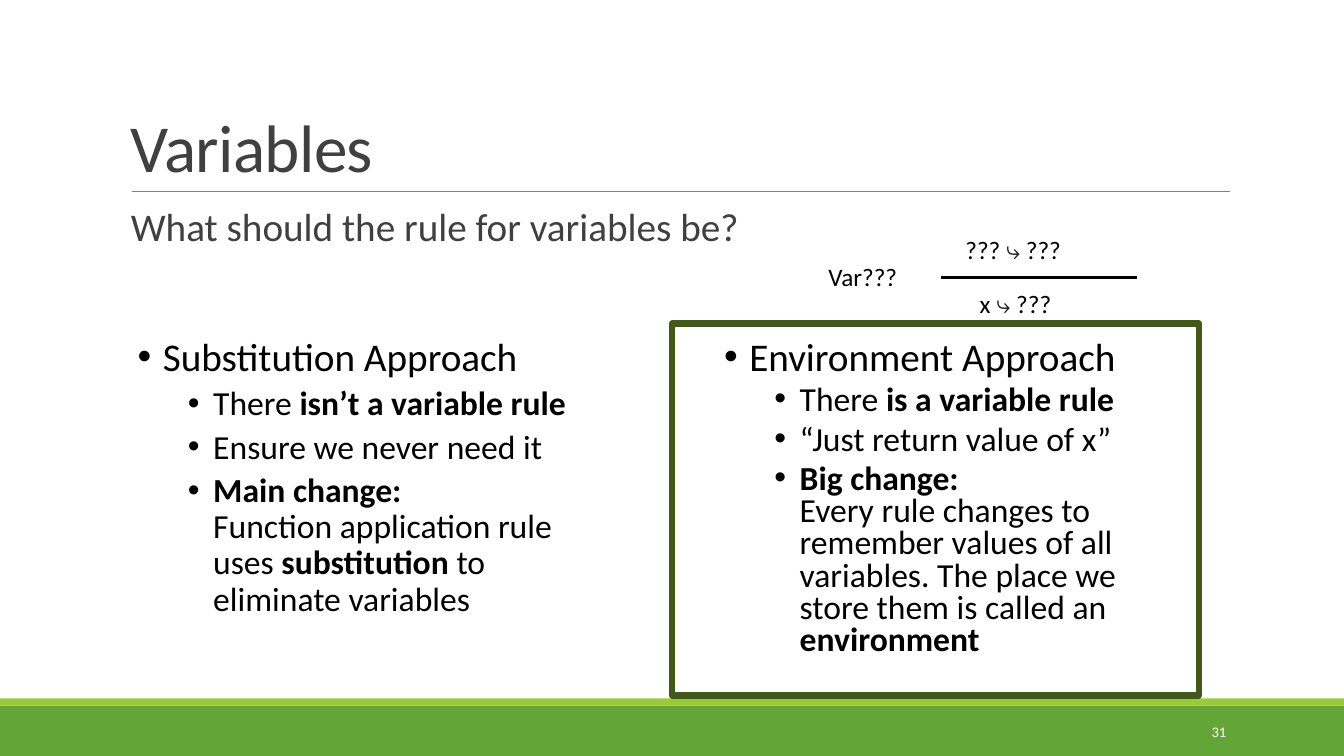
from dataclasses import dataclass
from lxml import etree
from pptx import Presentation
from pptx import util as u
from pptx.dml.color import RGBColor
from pptx.enum import shapes, text
from pptx.oxml.ns import qn


@dataclass(frozen=True)
class Theme:
    font: str = "Calibri"
    sign: str = "Roboto"
    ink: str = "000000"
    head: str = "404040"
    soft: str = "222222"
    rule: str = "808080"
    pale: str = "FFFFFF"
    green: str = "63A537"
    lime: str = "99CB38"
    frame: str = "435919"
    title: float = 48
    lead: float = 28
    point: float = 24
    small: float = 18
    page: float = 10.5


T = Theme()
WIDE, HIGH = u.Inches(13.33), u.Inches(7.5)
ARROW = "⤷"


def part(box, x, y, w, h):
    left, top, wide, high = box
    return (round(left + wide * x / 100), round(top + high * y / 100),
            round(wide * w / 100), round(high * h / 100))


def style(run, size, color, bold=False, font=T.font):
    run.font.size = u.Pt(size)
    run.font.name = font
    run.font.bold = bold
    run.font.color.rgb = RGBColor.from_string(color)


def add_text(slide, box, words="", size=T.small, color=T.ink,
             anchor=text.MSO_ANCHOR.TOP):
    frame = slide.shapes.add_textbox(*box).text_frame
    frame.word_wrap = True
    frame.vertical_anchor = anchor
    para = frame.paragraphs[0]
    para.text = words
    for run in para.runs:
        style(run, size, color)
    return frame


def add_rect(slide, box, fill=None, line=None, width=0):
    rect = slide.shapes.add_shape(shapes.MSO_SHAPE.RECTANGLE, *box)
    rect.shadow.inherit = False
    if fill:
        rect.fill.solid()
        rect.fill.fore_color.rgb = RGBColor.from_string(fill)
    else:
        rect.fill.background()
    if line:
        rect.line.color.rgb = RGBColor.from_string(line)
        rect.line.width = u.Pt(width)
    else:
        rect.line.fill.background()


def add_line(slide, box, color, width):
    x, y, w, h = box
    line = slide.shapes.add_connector(
        shapes.MSO_CONNECTOR.STRAIGHT, x, y, x + w, y + h)
    line.line.color.rgb = RGBColor.from_string(color)
    line.line.width = u.Pt(width)
    etree.SubElement(line._element.spPr, qn("a:effectLst"))


def add_bullet(para, level):
    props = para._p.get_or_add_pPr()
    props.set("marL", str(u.Inches(0.25 + 0.5 * level)))
    props.set("indent", str(-u.Inches(0.25)))
    etree.SubElement(props, qn("a:buFont")).set("typeface", "Arial")
    etree.SubElement(props, qn("a:buChar")).set("char", "•")
    para.level = level


def add_points(slide, box, head, points, pitch):
    frame = add_text(slide, box, head, T.lead)
    add_bullet(frame.paragraphs[0], 0)
    for point in points:
        para = frame.add_paragraph()
        add_bullet(para, 1)
        para.space_before = u.Pt(5)
        for words, bold in point:
            run = para.add_run()
            run.text = words.rstrip("\n")
            style(run, T.point, T.ink, bold)
            if words.endswith("\n"):
                para.add_line_break()
    for para in frame.paragraphs:
        para.line_spacing = pitch


def add_band(slide, box):
    add_rect(slide, part(box, 0, 12.3, 100, 87.7), T.green)
    add_rect(slide, part(box, 0, 0, 100, 12.3), T.lime)
    page = add_text(slide, part(box, 81.25, 22.8, 10.73, 70.2), "31",
                    T.page, T.pale, text.MSO_ANCHOR.MIDDLE)
    page.paragraphs[0].alignment = text.PP_ALIGN.RIGHT


def add_head(slide, box):
    add_line(slide, part(box, 1, 34.7, 99, 0), T.rule, 0.5)
    title = add_text(slide, part(box, 0, 0, 100, 34.7), "Variables",
                     T.title, T.head, text.MSO_ANCHOR.BOTTOM).paragraphs[0]
    title.line_spacing = 0.85
    title.runs[0].font._element.set("spc", "-50")
    lead = add_text(slide, part(box, 0, 37, 100, 63),
                    "What should the rule for variables be?", T.lead, T.head)
    lead.paragraphs[0].line_spacing = 0.9


def add_rule(slide, box):
    add_line(slide, part(box, 38.6, 50.5, 61.4, 0), T.ink, 2.25)
    add_text(slide, part(box, 0, 28, 42.7, 43), "Var???")
    for place, left in (((47.5, 57, 36, 43), "x "),
                        ((43, 0, 47.5, 43), "??? ")):
        para = add_text(slide, part(box, *place)).paragraphs[0]
        for words, font, color in ((left, T.font, T.ink),
                                   (ARROW, T.sign, T.soft),
                                   (" ???", T.font, T.ink)):
            run = para.add_run()
            run.text = words
            style(run, T.small, color, font=font)


def add_subst(slide, box):
    add_points(slide, box, "Substitution Approach", [
        [("There ", False), ("isn’t a variable rule", True)],
        [("Ensure we never need it", False)],
        [("Main change:\n", True),
         ("Function application rule uses ", False),
         ("substitution", True), (" to eliminate variables", False)],
    ], 0.9)


def add_env(slide, box):
    add_points(slide, part(box, 8, 3.5, 81.8, 96.5), "Environment Approach", [
        [("There ", False), ("is a variable rule", True)],
        [("“Just return value of x”", False)],
        [("Big change:\n", True),
         ("Every rule changes to remember values of all variables. "
          "The place we store them is called an ", False),
         ("environment", True)],
    ], 0.8)
    add_rect(slide, box, line=T.frame, width=4.5)


def main():
    deck = Presentation()
    deck.slide_width, deck.slide_height = WIDE, HIGH
    slide = deck.slides.add_slide(deck.slide_layouts[6])
    page = (0, 0, WIDE, HIGH)
    add_band(slide, part(page, 0, 92.4, 100, 7.6))
    add_head(slide, part(page, 9, 4.1, 82.5, 61.2))
    add_rule(slide, part(page, 60.9, 30.4, 23.7, 12.4))
    add_subst(slide, part(page, 9.5, 44, 33.8, 50.3))
    add_env(slide, part(page, 50, 42.8, 39.2, 49.2))
    deck.save("out.pptx")


if __name__ == "__main__":
    main()
